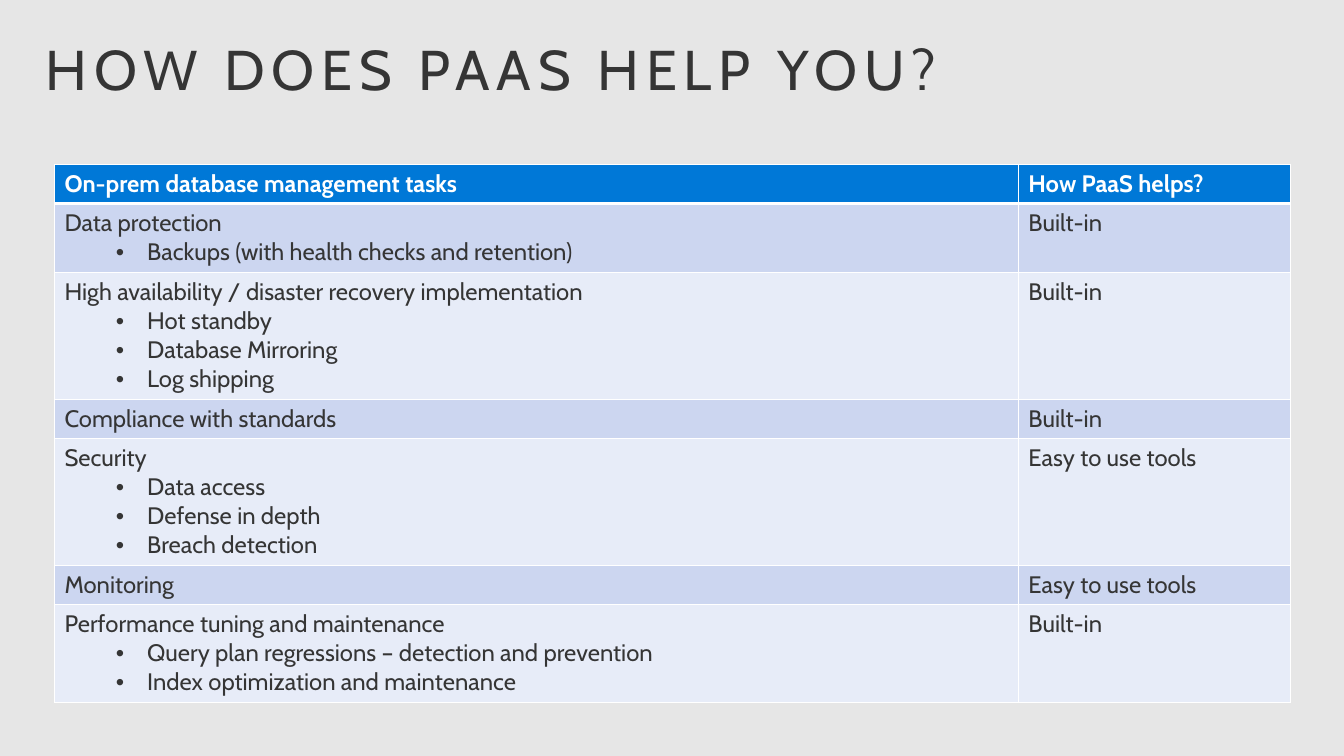
from lxml import etree
from pptx import Presentation
from pptx.dml.color import RGBColor
from pptx.enum.text import MSO_ANCHOR
from pptx.oxml.ns import qn
from pptx.util import Inches, Pt

TOP = MSO_ANCHOR.TOP
PAGE_GRAY = RGBColor(0xE6, 0xE6, 0xE6)
INK = RGBColor(0x35, 0x35, 0x35)
WHITE = RGBColor(0xFF, 0xFF, 0xFF)
HEADER_BLUE = RGBColor(0x00, 0x78, 0xD7)
BANDS = (RGBColor(0xCC, 0xD6, 0xF0), RGBColor(0xE7, 0xEC, 0xF8))

HEADINGS = ("On-prem database management tasks", "How PaaS helps?")
TASKS = [
    ("Data protection",
     ["Backups (with health checks and retention)"], "Built-in"),
    ("High availability / disaster recovery implementation",
     ["Hot standby", "Database Mirroring", "Log shipping"], "Built-in"),
    ("Compliance with standards", [], "Built-in"),
    ("Security",
     ["Data access", "Defense in depth", "Breach detection"], "Easy to use tools"),
    ("Monitoring", [], "Easy to use tools"),
    ("Performance tuning and maintenance",
     ["Query plan regressions – detection and prevention",
      "Index optimization and maintenance"], "Built-in"),
]


class SlideBuilder:
    font_name = "Cabin"
    title_size = Pt(40)
    table_size = Pt(17)
    grid_step = Inches(0.25)
    line_rows = 1.16
    padding_rows = 0.4

    def __init__(self, deck):
        self.page = deck.slides.add_slide(deck.slide_layouts[6])
        fill = self.page.background.fill
        fill.solid()
        fill.fore_color.rgb = PAGE_GRAY

    def grid(self, *steps):
        return [round(step * self.grid_step) for step in steps]

    def style(self, para, size, color, bold=False):
        for span in para.runs:
            span.font.name = self.font_name
            span.font.size = size
            span.font.color.rgb = color
            span.font.bold = bold

    def title(self, text, left, top, width, height):
        box = self.page.shapes.add_textbox(*self.grid(left, top, width, height))
        frame = box.text_frame
        frame.word_wrap = True
        frame.vertical_anchor = TOP
        frame.margin_left = frame.margin_right = Inches(0.16)
        frame.margin_top = frame.margin_bottom = Inches(0.1)
        frame.text = text
        para = frame.paragraphs[0]
        para.line_spacing = 0.9
        self.style(para, self.title_size, INK)
        for span in para.runs:
            span.font._element.set("spc", "500")

    def bullet(self, para):
        para.level = 1
        properties = para._p.get_or_add_pPr()
        properties.set("marL", str(Inches(0.82)))
        properties.set("indent", str(Inches(-0.31)))
        etree.SubElement(properties, qn("a:buFont")).set("typeface", "Arial")
        etree.SubElement(properties, qn("a:buChar")).set("char", "•")

    def borders(self, cell, top, bottom):
        properties = cell._tc.get_or_add_tcPr()
        for side, points in (("L", 1), ("R", 1), ("T", top), ("B", bottom)):
            line = etree.SubElement(properties, qn(f"a:ln{side}"), w=str(Pt(points)))
            paint = etree.SubElement(line, qn("a:solidFill"))
            etree.SubElement(paint, qn("a:srgbClr"), val=str(WHITE))

    def cell(self, cell, lines, fill, color, bold=False, top=1, bottom=1):
        self.borders(cell, top, bottom)
        cell.fill.solid()
        cell.fill.fore_color.rgb = fill
        cell.text_frame.text = "\n".join(lines)
        for index, para in enumerate(cell.text_frame.paragraphs):
            if index:
                self.bullet(para)
            self.style(para, self.table_size, color, bold)

    def table(self, headings, tasks, left, top, widths):
        line_counts = [1] + [1 + len(details) for _, details, _ in tasks]
        heights = [self.padding_rows + self.line_rows * count for count in line_counts]
        frame = self.page.shapes.add_table(
            len(heights), len(widths),
            *self.grid(left, top, sum(widths), sum(heights)))
        table = frame.table
        for column, width in zip(table.columns, self.grid(*widths)):
            column.width = width
        for row, height in zip(table.rows, self.grid(*heights)):
            row.height = height
        for column, heading in enumerate(headings):
            self.cell(table.cell(0, column), [heading], HEADER_BLUE, WHITE,
                      bold=True, bottom=3)
        for index, (task, details, help_text) in enumerate(tasks):
            for column, lines in enumerate(([task, *details], [help_text])):
                self.cell(table.cell(index + 1, column), lines,
                          BANDS[index % 2], INK, top=1 if index else 3)


def main():
    deck = Presentation()
    deck.slide_width = Inches(13.33)
    deck.slide_height = Inches(7.5)
    slide = SlideBuilder(deck)
    slide.title("HOW DOES PAAS HELP YOU?", 1.16, 1.28, 51, 3.92)
    slide.table(HEADINGS, TASKS, 2.16, 6.52, (38.24, 10.8))
    deck.save("out.pptx")


if __name__ == "__main__":
    main()
